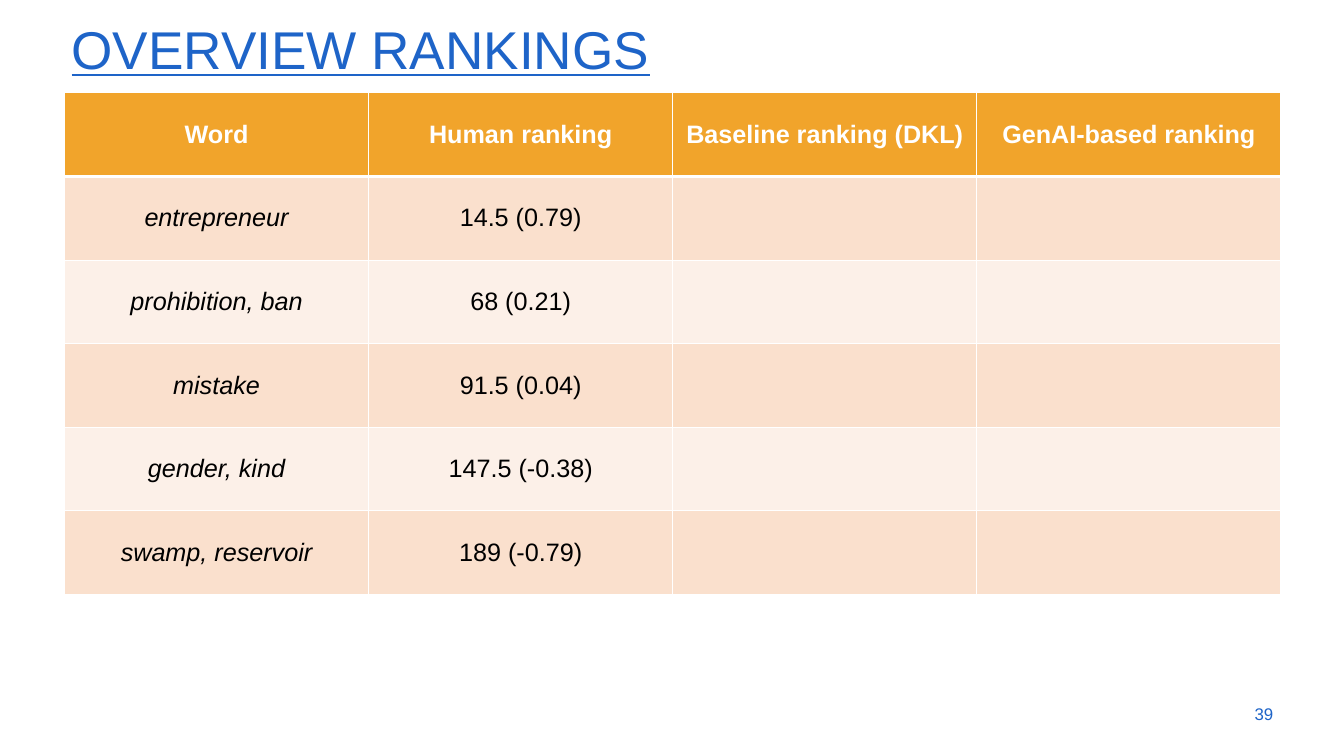
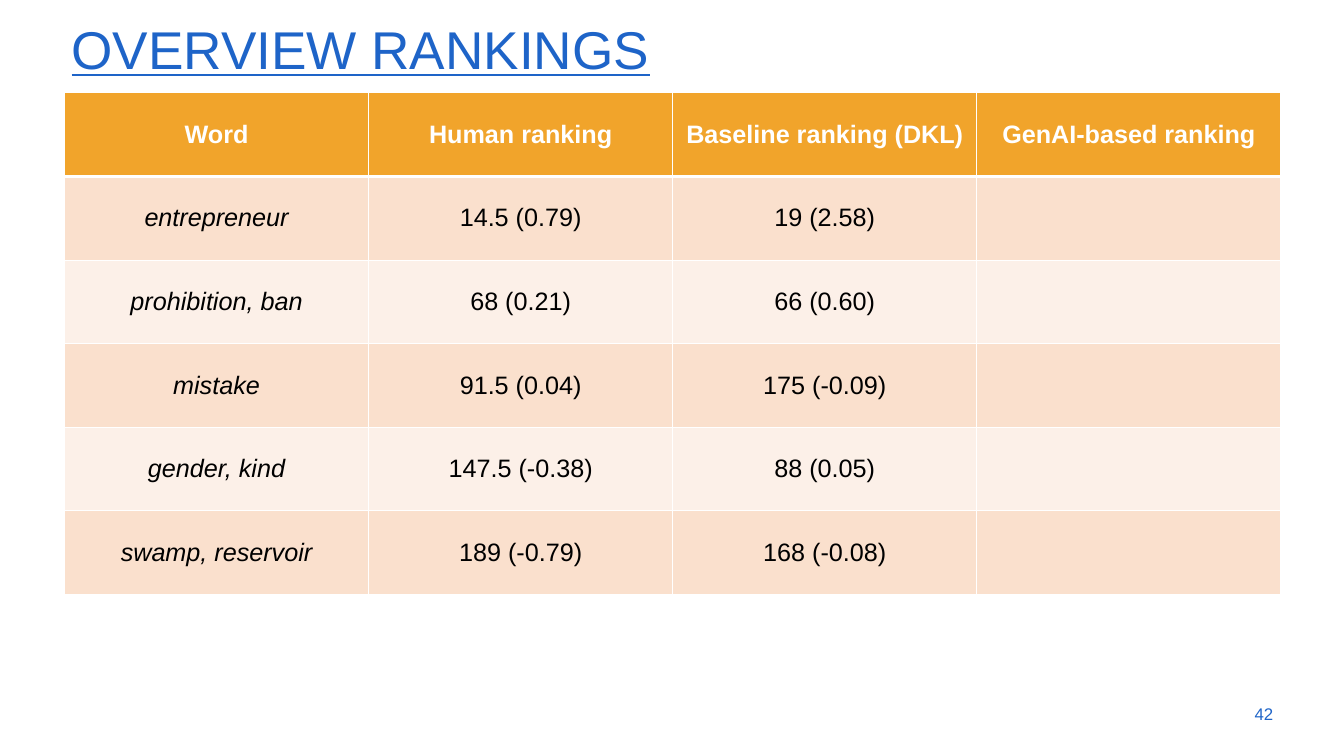
import pptx
import pptx.dml.color
import pptx.enum.text
import pptx.oxml
import pptx.oxml.ns
import pptx.util

Inches = pptx.util.Inches
Pt = pptx.util.Pt
RGBColor = pptx.dml.color.RGBColor
ALIGN = pptx.enum.text.PP_ALIGN
ANCHOR = pptx.enum.text.MSO_ANCHOR

BLUE = RGBColor(0x1E, 0x64, 0xC8)
ORANGE = RGBColor(0xF1, 0xA4, 0x2B)
PEACH = RGBColor(0xFA, 0xE0, 0xCD)
CREAM = RGBColor(0xFC, 0xF0, 0xE8)
WHITE = RGBColor(0xFF, 0xFF, 0xFF)
BLACK = RGBColor(0, 0, 0)

HEADS = ["Word", "Human ranking", "Baseline ranking (DKL)", "GenAI-based ranking"]
WORDS = ["entrepreneur", "prohibition, ban", "mistake", "gender, kind", "swamp, reservoir"]
HUMAN = ["14.5 (0.79)", "68 (0.21)", "91.5 (0.04)", "147.5 (-0.38)", "189 (-0.79)"]
BASE = ["19 (2.58)", "66 (0.60)", "175 (-0.09)", "88 (0.05)", "168 (-0.08)"]
BLANK = [""] * len(WORDS)


class Deck:
    """Holds the shared style and the slide being filled."""

    def __init__(self):
        self.file = pptx.Presentation()
        self.file.slide_width = Inches(18.96)
        self.file.slide_height = Inches(10.67)
        self.slide = None

    def start(self, title, number):
        self.slide = self.file.slides.add_slide(self.file.slide_layouts[5])
        self.title(title)
        self.number(number)

    def style(self, para, size, color, align, **flags):
        para.alignment = align
        para.font.name = "Arial"
        para.font.size = Pt(size)
        para.font.color.rgb = color
        for flag, value in flags.items():
            setattr(para.font, flag, value)

    def title(self, text):
        box = self.slide.shapes.title
        box.left, box.top = Inches(0.91), Inches(0.28)
        box.width, box.height = Inches(17.18), Inches(0.94)
        frame = box.text_frame
        frame.text = text
        frame.vertical_anchor = ANCHOR.TOP
        frame.auto_size = pptx.enum.text.MSO_AUTO_SIZE.NONE
        para = frame.paragraphs[0]
        para.line_spacing = 0.9
        self.style(para, 54, BLUE, ALIGN.LEFT, underline=True)

    def number(self, value):
        box = self.slide.shapes.add_textbox(
            Inches(17.05), Inches(9.79), Inches(1.01), Inches(0.57))
        frame = box.text_frame
        frame.word_wrap = True
        frame.vertical_anchor = ANCHOR.MIDDLE
        frame.text = str(value)
        self.style(frame.paragraphs[0], 17.1, BLUE, ALIGN.RIGHT)

    def border(self, cell, **widths):
        """Draw white edges; widths are points keyed by L, R, T and B."""
        props = cell._tc.get_or_add_tcPr()
        for side, width in widths.items():
            props.append(pptx.oxml.parse_xml(
                f'<a:ln{side} {pptx.oxml.ns.nsdecls("a")} w="{Pt(width)}">'
                f'<a:solidFill><a:srgbClr val="{WHITE}"/></a:solidFill></a:ln{side}>'))

    def cell(self, cell, text, row, col):
        head = row == 0
        self.border(cell, L=1, R=1, T=3 if row == 1 else 1, B=3 if head else 1)
        cell.fill.solid()
        cell.fill.fore_color.rgb = ORANGE if head else PEACH if row % 2 else CREAM
        cell.vertical_anchor = ANCHOR.MIDDLE
        cell.text = text
        self.style(cell.text_frame.paragraphs[0], 25.6, WHITE if head else BLACK,
                   ALIGN.CENTER, bold=head, italic=not head and col == 0)

    def table(self, rows):
        wide, high = 4.29, 1.18
        table = self.slide.shapes.add_table(
            len(rows), len(rows[0]), Inches(0.91), Inches(1.31),
            Inches(wide * len(rows[0])), Inches(high * len(rows))).table
        for line in table.columns:
            line.width = Inches(wide)
        for row, texts in enumerate(rows):
            table.rows[row].height = Inches(high)
            for col, text in enumerate(texts):
                self.cell(table.cell(row, col), text, row, col)


def main():
    deck = Deck()
    for number, base in [(39, BLANK), (42, BASE)]:
        deck.start("OVERVIEW RANKINGS", number)
        deck.table([HEADS, *zip(WORDS, HUMAN, base, BLANK)])
    deck.file.save("out.pptx")


if __name__ == "__main__":
    main()
